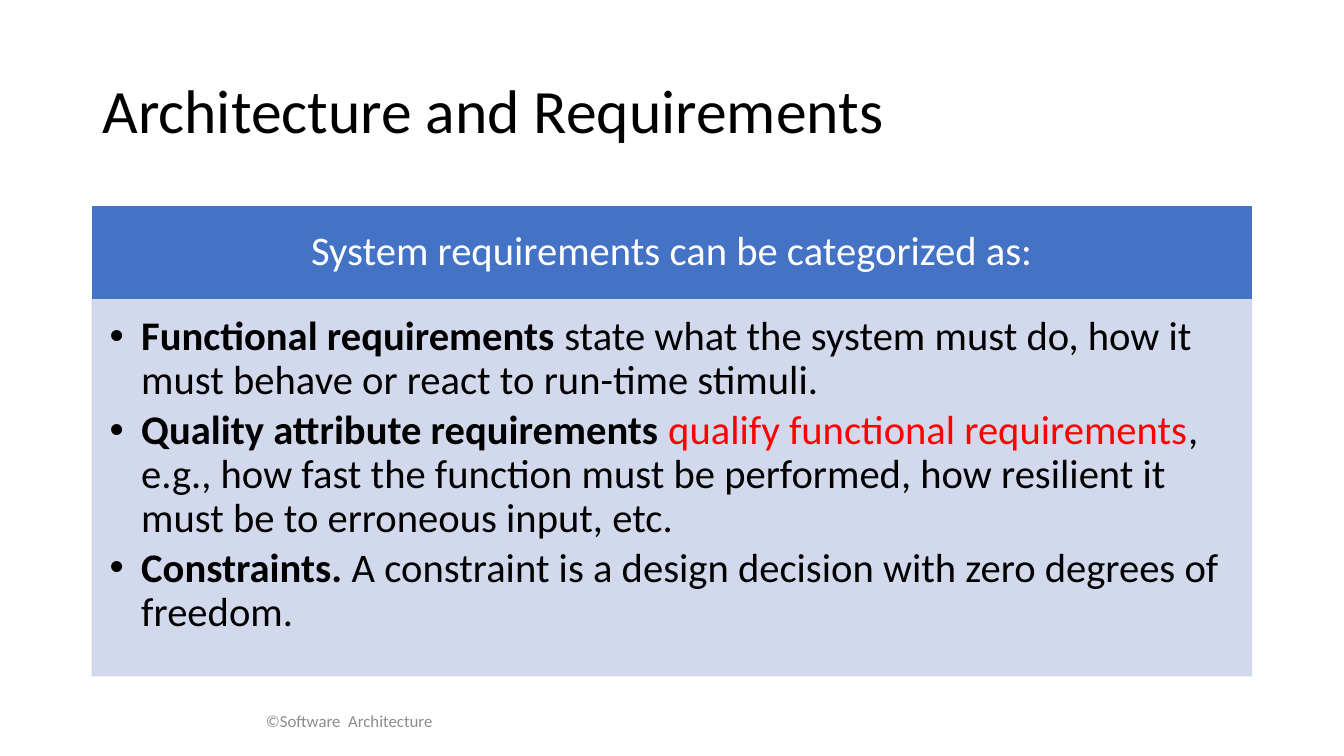
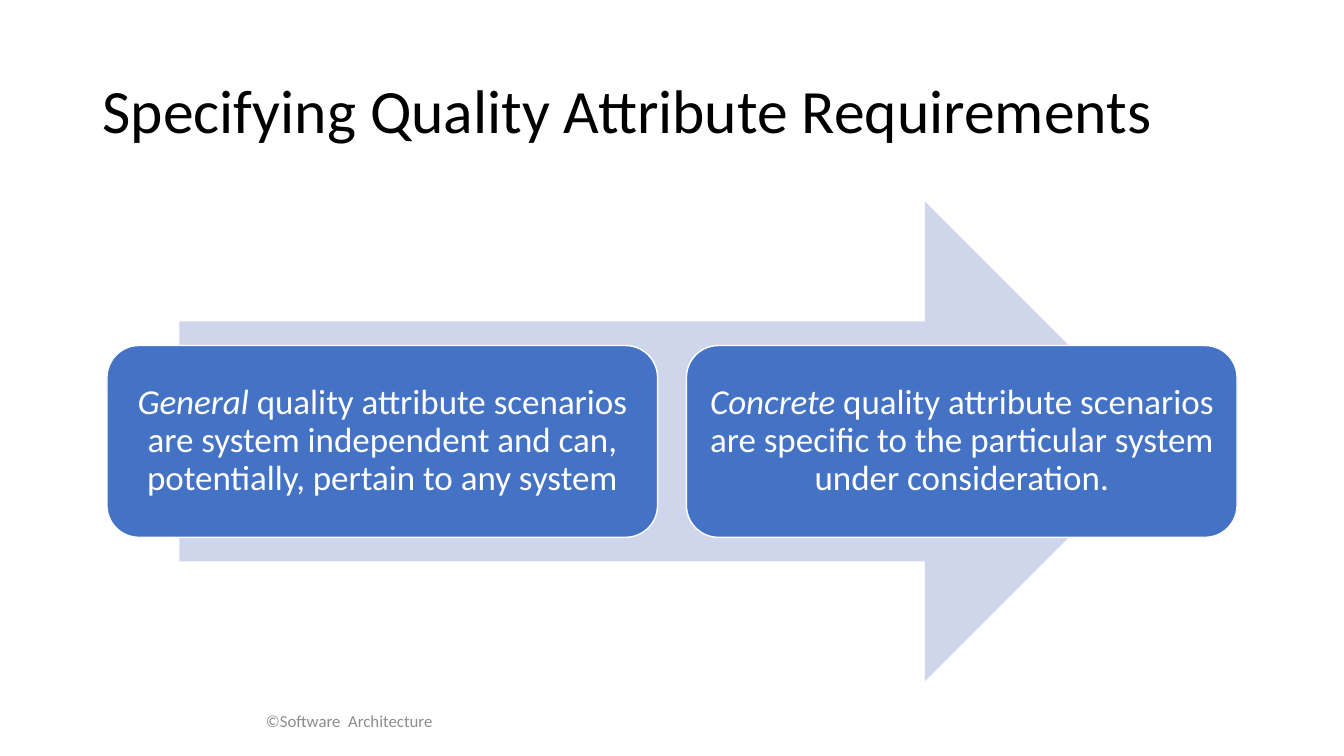
from pptx import Presentation
from pptx.dml.color import RGBColor
from pptx.enum.shapes import MSO_SHAPE
from pptx.enum.text import MSO_ANCHOR, MSO_AUTO_SIZE, PP_ALIGN
from pptx.oxml.ns import qn
from pptx.util import Pt
from lxml import etree

LEFT, CENTER = PP_ALIGN.LEFT, PP_ALIGN.CENTER
TOP, MIDDLE = MSO_ANCHOR.TOP, MSO_ANCHOR.MIDDLE
RECTANGLE, ROUNDED = MSO_SHAPE.RECTANGLE, MSO_SHAPE.ROUNDED_RECTANGLE
RIGHT_ARROW = MSO_SHAPE.RIGHT_ARROW
NO_AUTOFIT = MSO_AUTO_SIZE.NONE

FONT = "Calibri"
BLACK, WHITE, RED, GREY = "000000", "FFFFFF", "FF0000", "8C8C8C"
BLUE, PALE_BLUE = "4472C4", "CFD5EA"
LAYOUT_CONTENT, LAYOUT_TITLE_ONLY = 1, 5

MARGIN, CONTENT_WIDTH = 66, 828
TITLE_BOX = (MARGIN, 28.75, CONTENT_WIDTH, 104.4)
FOOTER_BOX = (0, 500.5, 499, 28.75)
FOOTER = "©Software  Architecture"

# A run is (text, style), where the style may give bold, italic or color.
BOLD, ITALIC = {"bold": True}, {"italic": True}

REQUIREMENTS_TITLE = "Architecture and Requirements"
REQUIREMENTS_HEADING = "System requirements can be categorized as:"
REQUIREMENTS = [
    [("Functional requirements ", BOLD),
     ("state what the system must do, how it must behave or react to "
      "run-time stimuli.", {})],
    [("Quality attribute requirements ", BOLD),
     ("qualify functional requirements", {"color": RED}),
     (", e.g., how fast the function must be performed, how resilient it "
      "must be to erroneous input, etc.", {})],
    [("Constraints.", BOLD),
     (" A constraint is a design decision with zero degrees of freedom.", {})],
]

SCENARIOS_TITLE = "Specifying Quality Attribute Requirements"
SCENARIOS = [
    [("General", ITALIC),
     (" quality attribute scenarios are system independent and can, "
      "potentially, pertain to any system", {})],
    [("Concrete", ITALIC),
     (" quality attribute scenarios are specific to the particular system "
      "under consideration.", {})],
]


def rgb(value):
    return RGBColor.from_string(value)


def place(shape, box):
    shape.left, shape.top, shape.width, shape.height = map(Pt, box)


def paint(shape, fill, line=None):
    shape.fill.solid()
    shape.fill.fore_color.rgb = rgb(fill)
    if line:
        shape.line.color.rgb = rgb(line)
        shape.line.width = Pt(1)
    else:
        shape.line.fill.background()


def set_opacity(shape, percent):
    """Apply one opacity to the fill and the line of a painted shape."""
    for color in shape._element.spPr.iter(qn("a:srgbClr")):
        etree.SubElement(color, qn("a:alpha")).set("val", str(percent * 1000))


def write(shape, paragraphs, size, color, align=CENTER, anchor=MIDDLE,
          insets=(7.2, 3.6, 7.2, 3.6), spacing=0.9, after=0):
    frame = shape.text_frame
    frame.word_wrap = True
    frame.auto_size = NO_AUTOFIT
    frame.vertical_anchor = anchor
    (frame.margin_left, frame.margin_top,
     frame.margin_right, frame.margin_bottom) = map(Pt, insets)
    for index, runs in enumerate(paragraphs):
        paragraph = frame.add_paragraph() if index else frame.paragraphs[0]
        paragraph.alignment = align
        paragraph.line_spacing = spacing
        paragraph.space_before, paragraph.space_after = Pt(0), Pt(after)
        for text, style in runs:
            run = paragraph.add_run()
            run.text = text
            font = run.font
            font.name, font.size = FONT, Pt(size)
            font.bold = style.get("bold", False)
            font.italic = style.get("italic", False)
            font.color.rgb = rgb(style.get("color", color))


def set_hanging_bullets(shape, indent):
    for paragraph in shape.text_frame.paragraphs:
        properties = paragraph._p.get_or_add_pPr()
        properties.set("marL", str(Pt(indent)))
        properties.set("indent", str(-Pt(indent)))


def add_block(slide, preset, box, fill, line=None):
    shape = slide.shapes.add_shape(preset, *map(Pt, box))
    shape.shadow.inherit = False
    paint(shape, fill, line)
    return shape


def start_slide(presentation, layout, title):
    """Add a slide with the shared title and footer."""
    slide = presentation.slides.add_slide(presentation.slide_layouts[layout])
    place(slide.shapes.title, TITLE_BOX)
    write(slide.shapes.title, [[(title, {})]], 44, BLACK, align=LEFT)
    footer = slide.shapes.add_textbox(*map(Pt, FOOTER_BOX))
    write(footer, [[(FOOTER, {})]], 12, GREY, spacing=1)
    return slide


def build_requirements(presentation):
    slide = start_slide(presentation, LAYOUT_CONTENT, REQUIREMENTS_TITLE)
    top, heading_height, list_height = 147.75, 65.5, 269.5

    heading = add_block(slide, RECTANGLE,
                        (MARGIN, top, CONTENT_WIDTH, heading_height), BLUE, BLUE)
    write(heading, [[(REQUIREMENTS_HEADING, {})]], 29, WHITE,
          insets=(16.5, 9.5, 16.5, 9.5))

    body = slide.placeholders[1]
    place(body, (MARGIN, top + heading_height, CONTENT_WIDTH, list_height))
    paint(body, PALE_BLUE, PALE_BLUE)
    set_opacity(body, 90)
    write(body, REQUIREMENTS, 29, BLACK, align=LEFT, anchor=TOP,
          insets=(12.4, 12.4, 16.5, 18.5), after=4.35)
    set_hanging_bullets(body, 22.5)


def build_scenarios(presentation):
    slide = start_slide(presentation, LAYOUT_TITLE_ONLY, SCENARIOS_TITLE)
    add_block(slide, RIGHT_ARROW, (128.1, 144, 703.8, 342.6), PALE_BLUE)

    card_width, card_height, gap = 393.3, 137, 20.6
    left = MARGIN + (CONTENT_WIDTH - 2 * card_width - gap) / 2
    for index, runs in enumerate(SCENARIOS):
        box = (left + index * (card_width + gap), 246.8, card_width, card_height)
        card = add_block(slide, ROUNDED, box, BLUE, WHITE)
        write(card, [runs], 25, WHITE, insets=(7, 7, 7, 7))


def main():
    presentation = Presentation()
    presentation.slide_width, presentation.slide_height = Pt(960), Pt(540)
    build_requirements(presentation)
    build_scenarios(presentation)
    presentation.save("out.pptx")


if __name__ == "__main__":
    main()
